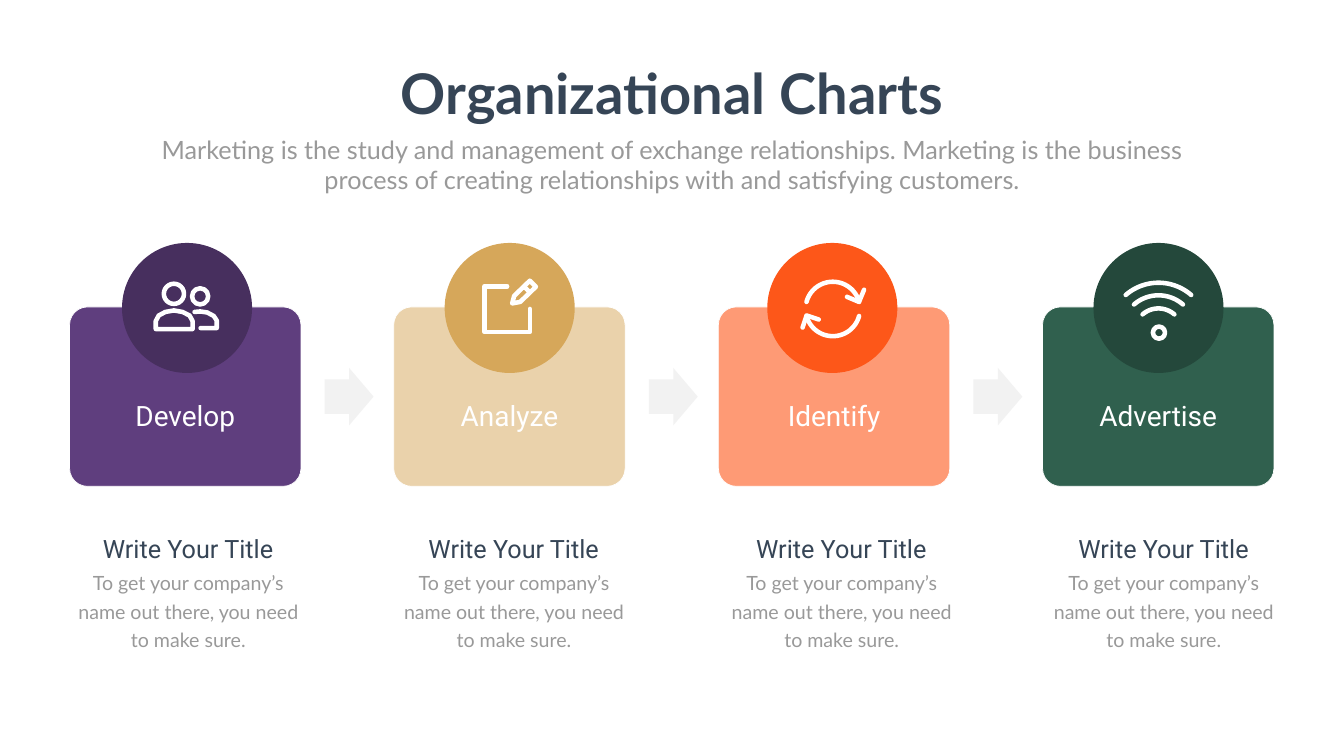
"""Build the four-step organizational chart slide."""
import dataclasses
import math

import pptx
import pptx.dml.color
import pptx.enum.shapes
import pptx.enum.text
import pptx.oxml.ns
import pptx.util

SHAPES = pptx.enum.shapes.MSO_SHAPE
ANCHOR = pptx.enum.text.MSO_ANCHOR
CENTER = pptx.enum.text.PP_ALIGN.CENTER
NO_FIT = pptx.enum.text.MSO_AUTO_SIZE.NONE
EMU_PER_PX = 9144


@dataclasses.dataclass(frozen=True)
class Theme:
    """Colours, fonts and type sizes of the slide."""
    ink: str = "364556"
    muted: str = "999999"
    white: str = "FFFFFF"
    arrow: str = "F2F2F2"
    heading_font: str = "Lato"
    label_font: str = "Roboto"
    title_size: int = 80
    label_size: int = 40
    subtitle_size: int = 36
    caption_size: int = 28
    caption_leading: float = 40.8
    card_line: int = 1
    icon_line: float = 6.5


def emu(px):
    """Turn px into EMU."""
    return pptx.util.Emu(round(px * EMU_PER_PX))


def rgb(color):
    """Turn a hex string into a colour."""
    return pptx.dml.color.RGBColor.from_string(color)


def assign(target, values):
    """Set each named value on the target."""
    for name, value in values.items():
        setattr(target, name, value)


def arc(x, y, radius, start, end, steps=32):
    """Return points along an arc, with angles in degrees clockwise from the right."""
    angles = [math.radians(start + (end - start) * step / steps) for step in range(steps + 1)]
    return [(x + radius * math.cos(a), y + radius * math.sin(a)) for a in angles]


class SlideBuilder:
    """Holds the theme and the current slide, and draws each kind of element."""

    def __init__(self, slide, theme):
        self.slide = slide
        self.theme = theme

    def fill_text(self, frame, text, size, font, color, bold=False, leading=None, **frame_format):
        """Put one centred paragraph into a text frame."""
        assign(frame, {"word_wrap": True, "auto_size": NO_FIT,
                       "vertical_anchor": ANCHOR.TOP, **frame_format})
        paragraph = frame.paragraphs[0]
        run = paragraph.add_run()
        run.text = text
        assign(paragraph, {"alignment": CENTER, "line_spacing": leading})
        assign(run.font, {"size": pptx.util.Pt(size), "name": font, "bold": bold})
        run.font.color.rgb = rgb(color)

    def title(self, text, box):
        """Place and fill the title placeholder."""
        heading = self.slide.shapes.title
        assign(heading, dict(zip(("left", "top", "width", "height"), map(emu, box))))
        self.fill_text(heading.text_frame, text, self.theme.title_size, self.theme.heading_font,
                       self.theme.ink, bold=True, word_wrap=False)

    def text(self, text, box, size, font, color, leading=None):
        """Add a text box."""
        frame = self.slide.shapes.add_textbox(*map(emu, box)).text_frame
        self.fill_text(frame, text, size, font, color, leading=leading)

    def shape(self, kind, box, fill, adjustments=()):
        """Add a filled preset shape without outline."""
        shape = self.slide.shapes.add_shape(kind, *map(emu, box))
        shape.shadow.inherit = False
        shape.fill.solid()
        shape.fill.fore_color.rgb = rgb(fill)
        shape.line.fill.background()
        for index, value in enumerate(adjustments):
            shape.adjustments[index] = value
        return shape

    def card(self, label, box, fill):
        """Add a rounded card with its label."""
        card = self.shape(SHAPES.ROUNDED_RECTANGLE, box, fill, [0.1])
        card.line.color.rgb = rgb(self.theme.white)
        card.line.width = pptx.util.Pt(self.theme.card_line)
        self.fill_text(card.text_frame, label, self.theme.label_size, self.theme.label_font,
                       self.theme.white, leading=0.9, vertical_anchor=ANCHOR.MIDDLE,
                       margin_top=emu(100), margin_bottom=emu(17))

    def outline(self, shape):
        """Give an icon part its round white stroke."""
        shape.shadow.inherit = False
        shape.fill.background()
        shape.line.color.rgb = rgb(self.theme.white)
        shape.line.width = pptx.util.Pt(self.theme.icon_line)
        shape.element.spPr.find(pptx.oxml.ns.qn("a:ln")).set("cap", "rnd")

    def ring(self, x, y, radius):
        """Add a circle outline around a centre."""
        box = (x - radius, y - radius, 2 * radius, 2 * radius)
        self.outline(self.slide.shapes.add_shape(SHAPES.OVAL, *map(emu, box)))

    def stroke(self, points, closed, x, y):
        """Add a stroked outline with points relative to a centre."""
        start, *rest = [(emu(x + dx), emu(y + dy)) for dx, dy in points]
        builder = self.slide.shapes.build_freeform(*start)
        builder.add_line_segments(rest, close=closed)
        self.outline(builder.convert_to_shape())

    def icon(self, icon, x, y):
        """Draw all rings and strokes of an icon around a centre."""
        for dx, dy, radius in icon.get("rings", []):
            self.ring(x + dx, y + dy, radius)
        for kind in ("open", "closed"):
            for points in icon.get(kind, []):
                self.stroke(points, kind == "closed", x, y)


PEOPLE = {
    "rings": [(-26, -28, 20), (26, -23, 16)],
    "closed": [[(-62, 42), (-62, 26), (-56, 15), (-43, 8), (-26, 5),
                (-9, 8), (5, 15), (11, 26), (11, 42)]],
    "open": [[(15, 8), (26, 7), (40, 9), (53, 16), (59, 25), (59, 40), (27, 40)]],
}
EDIT = {
    "closed": [[(5, -9), (9, -24), (40, -54), (52, -42), (21, -12)]],
    "open": [[(40, 2), (40, 48), (-50, 48), (-50, -43), (-5, -43)], [(31, -40), (37, -34)]],
}
REFRESH = {
    "open": [arc(1, 2, 54, 195, 345), [(29, -22), (53, -12), (63, -36)],
             arc(1, 2, 54, 15, 165), [(-27, 23), (-51, 15), (-59, 39)]],
}
SIGNAL = {
    "rings": [(1, 49, 12)],
    "open": [arc(0, 49, radius, 229, 311) for radius in (99, 74, 48)],
}
STEPS = [
    ("Develop", "5F3E7E", "472F5E", PEOPLE, 242, 143),
    ("Analyze", "EAD2AB", "D6A75A", EDIT, 882, 789),
    ("Identify", "FE9A75", "FD5719", REFRESH, 1522, 1439),
    ("Advertise", "30604E", "24483B", SIGNAL, 2169, 2078),
]
SUBTITLE = ("Marketing is the study and management of exchange relationships. Marketing is the "
            "business process of creating relationships with and satisfying customers.")
CAPTION = "To get your company’s name out there, you need to make sure."


def main():
    """Build and save the slide."""
    deck = pptx.Presentation()
    assign(deck, {"slide_width": emu(2666), "slide_height": emu(1500)})
    theme = Theme()
    page = SlideBuilder(deck.slides.add_slide(deck.slide_layouts[5]), theme)
    page.title("Organizational Charts", (770, 112, 1126, 145))
    page.text(SUBTITLE, (292, 261, 2082, 131), theme.subtitle_size, theme.heading_font, theme.muted)

    badge_top, badge_size = 482, 258
    for index, (label, fill, badge_fill, icon, badge_left, caption_left) in enumerate(STEPS):
        card_left = 138 + round(index * 1930 / 3)
        page.card(label, (card_left, 609, 459, 356), fill)
        if index < len(STEPS) - 1:
            page.shape(SHAPES.RIGHT_ARROW, (card_left + 506, 730, 97, 114), theme.arrow, [0.6, 0.5])
        page.shape(SHAPES.OVAL, (badge_left, badge_top, badge_size, badge_size), badge_fill)
        page.icon(icon, badge_left + badge_size // 2, badge_top + badge_size // 2)
        page.text("Write Your Title", (caption_left - 56, 1054, 572, 71),
                  theme.subtitle_size, theme.label_font, theme.ink)
        page.text(CAPTION, (caption_left, 1118, 461, 177), theme.caption_size,
                  theme.heading_font, theme.muted, pptx.util.Pt(theme.caption_leading))
    deck.save("out.pptx")


if __name__ == "__main__":
    main()
